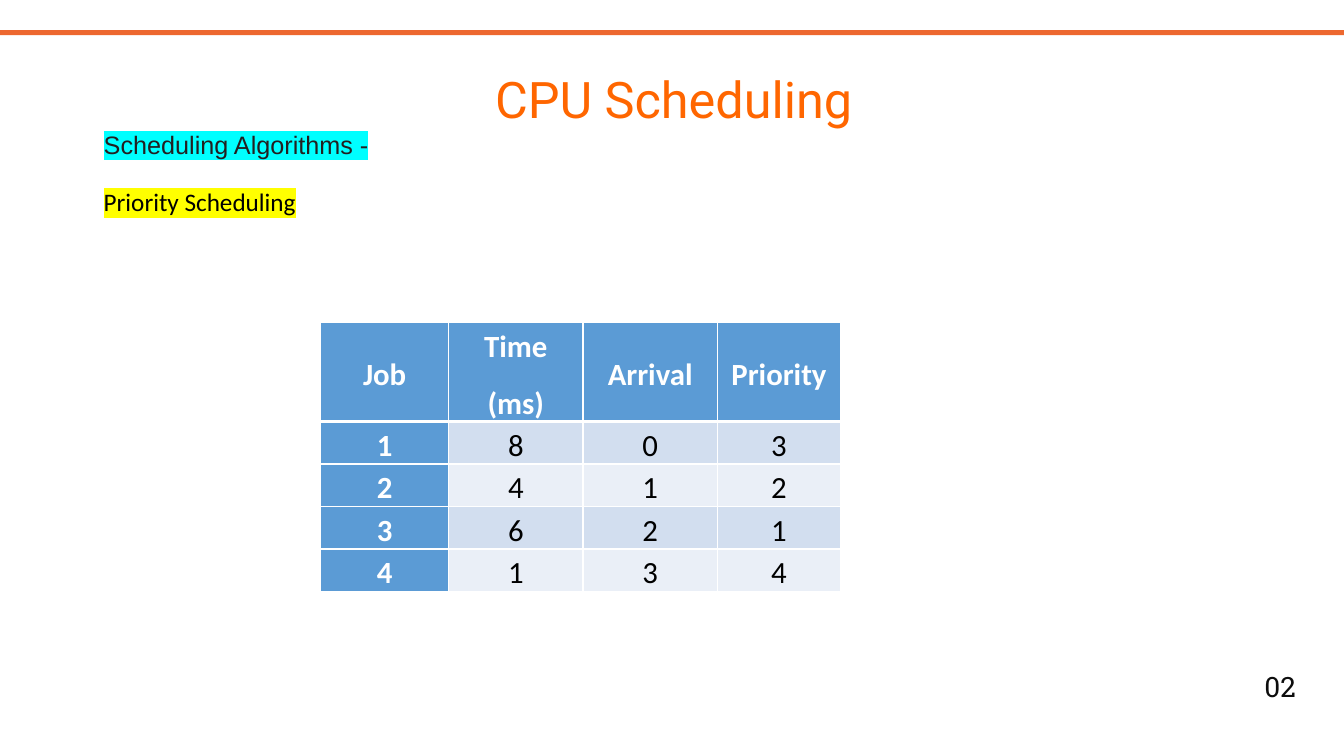
from lxml.etree import SubElement
from pptx import Presentation
from pptx.dml.color import RGBColor
from pptx.enum.shapes import MSO_SHAPE as Shape
from pptx.enum.text import MSO_ANCHOR as Anchor, MSO_AUTO_SIZE as AutoSize, PP_ALIGN as Align
from pptx.oxml.ns import qn
from pptx.util import Pt

WHITE, BLACK, BLUE = "FFFFFF", "000000", "5B9BD5"
BANDS = ("D2DEEF", "EAEFF7")
COLUMN_WIDTHS = (91.5, 96, 96, 88)
HEADER_HEIGHT, ROW_HEIGHT = 59, 21.6
JOBS = (
    (("Job",), ("Time", "(ms)"), ("Arrival",), ("Priority",)),
    (("1",), ("8",), ("0",), ("3",)),
    (("2",), ("4",), ("1",), ("2",)),
    (("3",), ("6",), ("2",), ("1",)),
    (("4",), ("1",), ("3",), ("4",)),
)


def color(value):
    return RGBColor.from_string(value)


class SlideBuilder:
    """Holds the presentation, its current slide and the text style."""

    def __init__(self):
        self.presentation = Presentation()
        self.presentation.slide_width = Pt(960)
        self.presentation.slide_height = Pt(540)
        self.slide = self.presentation.slides.add_slide(self.presentation.slide_layouts[5])
        self.text_font = "Calibri"

    def add_run(self, paragraph, text, size, text_color=BLACK, font=None, bold=False, highlight=None):
        run = paragraph.add_run()
        run.text = text
        run.font.size = Pt(size)
        run.font.bold = bold
        run.font.color.rgb = color(text_color)
        if highlight:
            marker = SubElement(run.font._element, qn("a:highlight"))
            SubElement(marker, qn("a:srgbClr"), val=highlight)
        run.font.name = font or self.text_font

    def add_bar(self, left, top, width, height, fill):
        bar = self.slide.shapes.add_shape(Shape.RECTANGLE, Pt(left), Pt(top), Pt(width), Pt(height))
        bar.shadow.inherit = False
        bar.fill.solid()
        bar.fill.fore_color.rgb = color(fill)
        bar.line.fill.background()

    def set_title(self, left, top, width, height, text, **style):
        title = self.slide.shapes.title
        title.left, title.top, title.width, title.height = Pt(left), Pt(top), Pt(width), Pt(height)
        title.text_frame.vertical_anchor = Anchor.MIDDLE
        paragraph = title.text_frame.paragraphs[0]
        paragraph.alignment = Align.CENTER
        self.add_run(paragraph, text, **style)

    def add_text(self, left, top, width, height, text, align=Align.LEFT, wrap=True, **style):
        box = self.slide.shapes.add_textbox(Pt(left), Pt(top), Pt(width), Pt(height))
        box.text_frame.word_wrap = wrap
        box.text_frame.auto_size = AutoSize.SHAPE_TO_FIT_TEXT
        paragraph = box.text_frame.paragraphs[0]
        paragraph.alignment = align
        self.add_run(paragraph, text, **style)

    def set_borders(self, cell, **widths):
        """Draw white borders; the keywords L, R, T and B give widths in points."""
        properties = cell._tc.get_or_add_tcPr()
        for side, width in widths.items():
            line = SubElement(properties, qn(f"a:ln{side}"), w=str(Pt(width)))
            fill = SubElement(line, qn("a:solidFill"))
            SubElement(fill, qn("a:srgbClr"), val=WHITE)

    def fill_cell(self, cell, lines, fill, **style):
        cell.vertical_anchor = Anchor.MIDDLE
        cell.margin_left = cell.margin_right = Pt(5)
        cell.margin_top = cell.margin_bottom = 0
        cell.fill.solid()
        cell.fill.fore_color.rgb = color(fill)
        for index, line in enumerate(lines):
            frame = cell.text_frame
            paragraph = frame.add_paragraph() if index else frame.paragraphs[0]
            paragraph.alignment = Align.CENTER
            paragraph.line_spacing = 1.15
            paragraph.space_after = Pt(10)
            self.add_run(paragraph, line, size=22, **style)

    def add_table(self, left, top, rows):
        height = HEADER_HEIGHT + ROW_HEIGHT * (len(rows) - 1)
        table = self.slide.shapes.add_table(
            len(rows), len(COLUMN_WIDTHS), Pt(left), Pt(top), Pt(sum(COLUMN_WIDTHS)), Pt(height)).table
        for column, width in zip(table.columns, COLUMN_WIDTHS):
            column.width = Pt(width)
        for row_index, row in enumerate(rows):
            is_header = row_index == 0
            table.rows[row_index].height = Pt(HEADER_HEIGHT if is_header else ROW_HEIGHT)
            for column_index, lines in enumerate(row):
                cell = table.cell(row_index, column_index)
                is_label = is_header or column_index == 0
                self.set_borders(cell, L=1, R=1, T=3 if row_index == 1 else 1, B=3 if is_header else 1)
                self.fill_cell(cell, lines, BLUE if is_label else BANDS[(row_index - 1) % 2],
                               text_color=WHITE if is_label else BLACK, bold=is_label)


def main():
    builder = SlideBuilder()
    builder.add_bar(0, 21.5, 960, 3.6, "ED682F")
    builder.add_text(895.7, 474.5, 37.4, 31.7, "02", align=Align.CENTER, wrap=False,
                     size=20, text_color="0D0D0D", font="Roboto Slab")
    builder.set_title(188.6, 25.2, 585.4, 90, "CPU Scheduling",
                      size=36, text_color="FF6600", font="Roboto")
    builder.add_text(67, 88.6, 497.5, 51, "Scheduling Algorithms -",
                     size=18, text_color="231F20", font="Arial", highlight="00FFFF")
    builder.add_text(67, 129.6, 479.5, 28.8, "Priority Scheduling", size=18, highlight="FFFF00")
    builder.add_table(229, 230.4, JOBS)
    builder.presentation.save("out.pptx")


if __name__ == "__main__":
    main()
